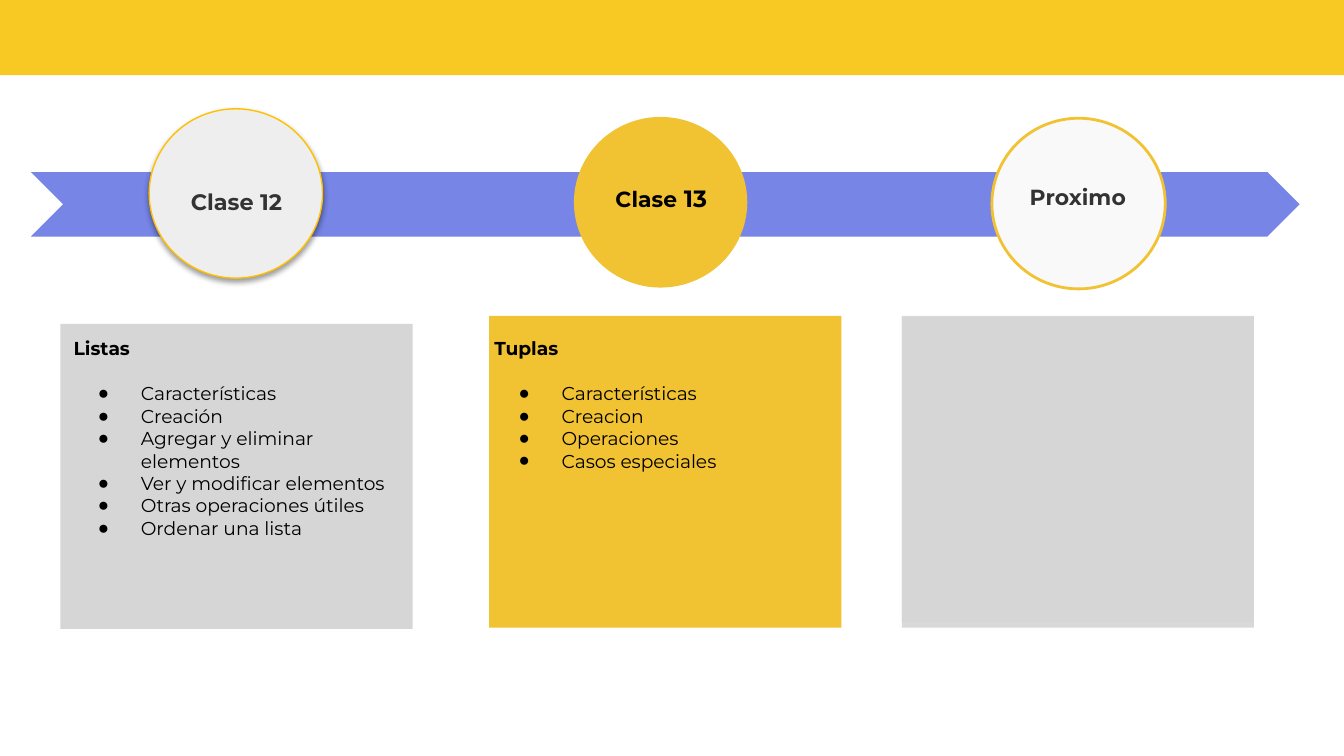
from dataclasses import dataclass

import pptx
import pptx.dml.color
import pptx.enum.shapes
import pptx.enum.text
import pptx.oxml
import pptx.oxml.ns
import pptx.util
from pptx.util import Inches

SHAPES = pptx.enum.shapes.MSO_SHAPE
ALIGN = pptx.enum.text.PP_ALIGN
FONT, BULLET_FONT = "Montserrat", "Arial"
NAMESPACE = pptx.oxml.ns.nsdecls("a")
YELLOW, GRAY, BLACK, DARK = "F1C232", "D6D6D6", "000000", "333333"
CARD_WIDTH, CARD_HEIGHT = 2.62, 2.27


@dataclass(frozen=True)
class Block:
    kind: int
    left: float
    top: float
    width: float
    height: float
    fill: str
    line: str | None = None
    line_width: float = 0
    shadow: bool = False


@dataclass(frozen=True)
class Label:
    left: float
    top: float
    runs: tuple[tuple[str, float], ...]
    color: str


@dataclass(frozen=True)
class Topic:
    left: float
    title: str
    items: tuple[str, ...]
    fill: str | None = None


ELEMENTS = (
    Block(SHAPES.CHEVRON, 0.23, 1.28, 9.44, 0.48, "7685E6"),
    Block(SHAPES.OVAL, 4.27, 0.87, 1.29, 1.27, YELLOW),
    Block(SHAPES.OVAL, 7.38, 0.88, 1.29, 1.27, "F9F9F9", YELLOW, 1.5),
    Block(SHAPES.RECTANGLE, 3.64, 2.35, CARD_WIDTH, 2.32, YELLOW),
    Block(SHAPES.RECTANGLE, 6.71, 2.35, CARD_WIDTH, 2.32, "D9D9D9"),
    Block(SHAPES.RECTANGLE, -0.01, -0.05, 10.03, 0.61, "F8C823"),
    Label(4.42, 1.27, (("Clase", 11.7), (" 13", 12.6)), BLACK),
    Label(7.52, 1.27, (("Proximo", 11.7),), DARK),
    Topic(0.45, "Listas", (
        "Características", "Creación", "Agregar y eliminar elementos",
        "Ver y modificar elementos", "Otras operaciones útiles", "Ordenar una lista",
    ), GRAY),
    Block(SHAPES.OVAL, 1.11, 0.81, 1.29, 1.26, "EEEEEE", "FFC000", 0.75, True),
    Label(1.26, 1.3, (("Clase 12", 12),), DARK),
    Topic(3.58, "Tuplas", (
        "Características", "Creacion", "Operaciones", "Casos especiales",
    )),
    Block(SHAPES.RECTANGLE, 6.71, 2.36, CARD_WIDTH, CARD_HEIGHT, GRAY),
)


def rgb(color: str) -> pptx.dml.color.RGBColor:
    return pptx.dml.color.RGBColor.from_string(color)


def add_block(slide, block: Block):
    shape = slide.shapes.add_shape(
        block.kind, *map(Inches, (block.left, block.top, block.width, block.height))
    )
    shape.fill.solid()
    shape.fill.fore_color.rgb = rgb(block.fill)
    if block.line:
        shape.line.color.rgb = rgb(block.line)
        shape.line.width = pptx.util.Pt(block.line_width)
    else:
        shape.line.fill.background()
    shape.shadow.inherit = False
    if block.shadow:
        add_shadow(shape)
    return shape


def add_shadow(shape) -> None:
    """Put a soft shadow straight below the shape."""
    blur, distance = pptx.util.Pt(3.1), pptx.util.Pt(1.6)
    effects = shape.element.spPr.find(pptx.oxml.ns.qn("a:effectLst"))
    effects.append(pptx.oxml.parse_xml(
        f'<a:outerShdw {NAMESPACE} blurRad="{blur}" dist="{distance}" dir="5400000" '
        'algn="ctr" rotWithShape="0">'
        f'<a:srgbClr val="{BLACK}"><a:alpha val="38000"/></a:srgbClr></a:outerShdw>'
    ))


def format_frame(frame) -> None:
    frame_format = {
        "word_wrap": True,
        "vertical_anchor": pptx.enum.text.MSO_ANCHOR.TOP,
        **{f"margin_{side}": Inches(0.1) for side in ("left", "right", "top", "bottom")},
    }
    for name, value in frame_format.items():
        setattr(frame, name, value)


def add_run(paragraph, text: str, size: float, color: str, bold: bool) -> None:
    run = paragraph.add_run()
    run.text = text
    font_format = {"name": FONT, "size": pptx.util.Pt(size), "bold": bold}
    for name, value in font_format.items():
        setattr(run.font, name, value)
    run.font.color.rgb = rgb(color)


def add_bullet(paragraph) -> None:
    properties = paragraph._p.get_or_add_pPr()
    properties.set("marL", str(Inches(0.5)))
    properties.set("indent", str(Inches(-0.32)))
    for xml in (
        f'<a:buClr {NAMESPACE}><a:srgbClr val="{BLACK}"/></a:buClr>',
        f'<a:buFont {NAMESPACE} typeface="{BULLET_FONT}"/>',
        f'<a:buChar {NAMESPACE} char="●"/>',
    ):
        properties.append(pptx.oxml.parse_xml(xml))


def add_label(slide, label: Label) -> None:
    box = slide.shapes.add_textbox(*map(Inches, (label.left, label.top, 1, 0.33)))
    format_frame(box.text_frame)
    paragraph = box.text_frame.paragraphs[0]
    paragraph.alignment = ALIGN.CENTER
    for text, size in label.runs:
        add_run(paragraph, text, size, label.color, True)


def add_topic(slide, topic: Topic) -> None:
    """Write a titled list, inside a card if the topic has a fill."""
    area = (topic.left, 2.41, CARD_WIDTH, CARD_HEIGHT)
    if topic.fill:
        shape = add_block(slide, Block(SHAPES.RECTANGLE, *area, topic.fill))
    else:
        shape = slide.shapes.add_textbox(*map(Inches, area))
    frame = shape.text_frame
    format_frame(frame)
    title = frame.paragraphs[0]
    title.alignment = ALIGN.LEFT
    title.space_after = pptx.util.Pt(12)
    add_run(title, topic.title, 10, BLACK, True)
    for item in topic.items:
        paragraph = frame.add_paragraph()
        paragraph.alignment = ALIGN.LEFT
        add_bullet(paragraph)
        add_run(paragraph, item, 10, BLACK, False)


def main() -> None:
    presentation = pptx.Presentation()
    presentation.slide_width = Inches(10)
    presentation.slide_height = Inches(10 * 9 / 16)
    slide = presentation.slides.add_slide(presentation.slide_layouts[6])
    draw = {Block: add_block, Label: add_label, Topic: add_topic}
    for element in ELEMENTS:
        draw[type(element)](slide, element)
    presentation.save("out.pptx")


if __name__ == "__main__":
    main()
